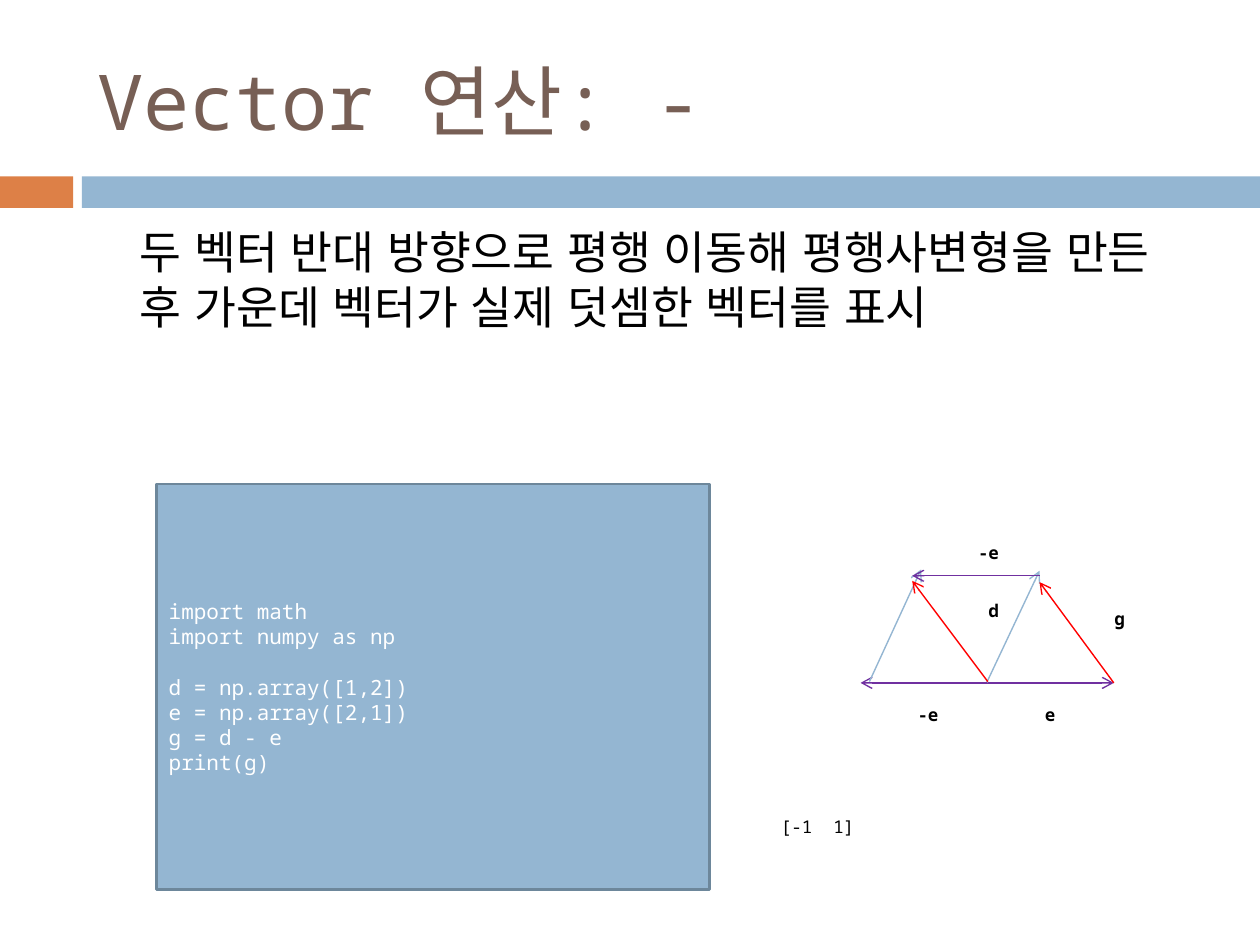
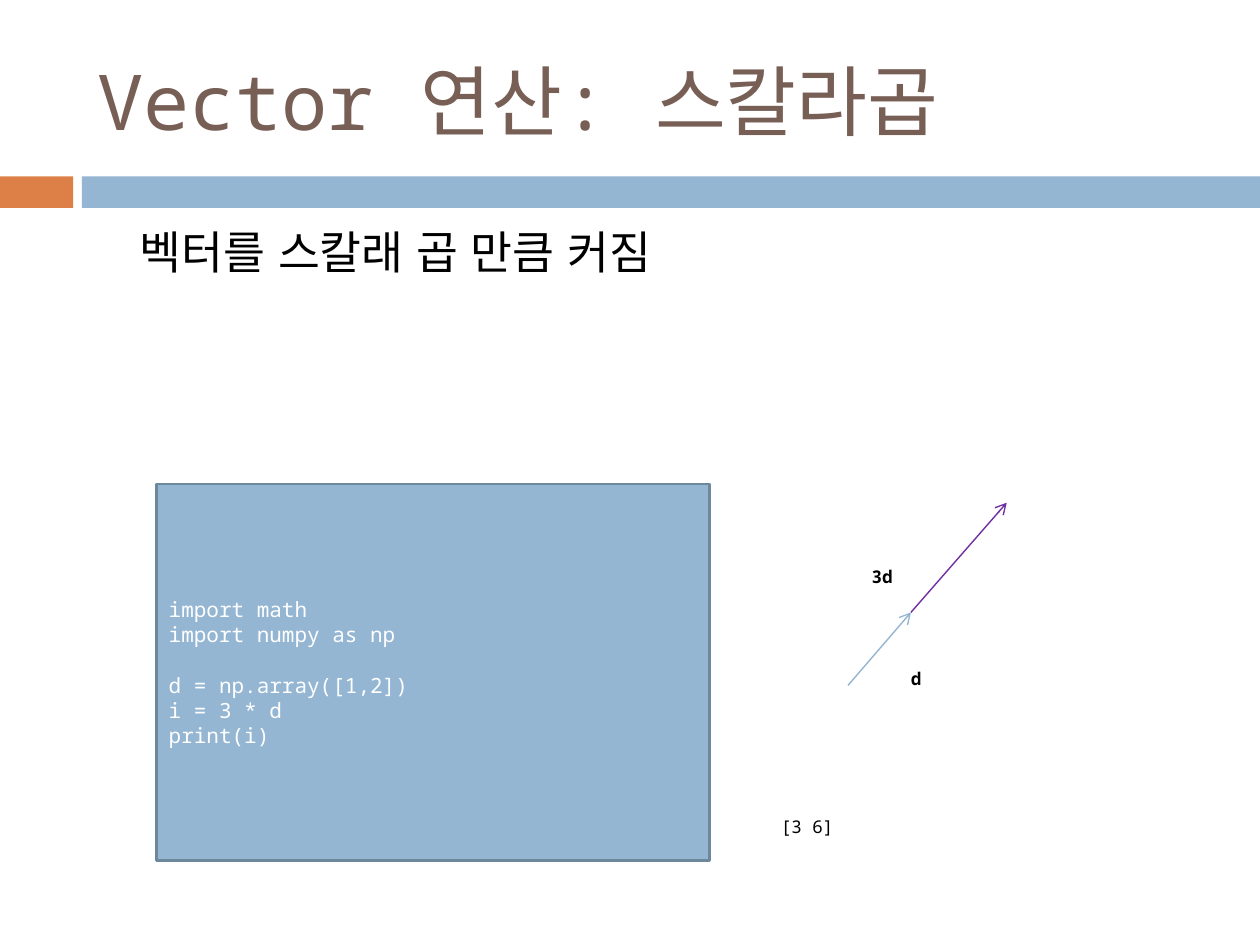
import pptx
import pptx.util
import pptx.dml.color
import pptx.enum.lang
import pptx.enum.shapes
import pptx.enum.text
import pptx.oxml
import pptx.oxml.ns
from lxml import etree

RGB = pptx.dml.color.RGBColor
BLUE = RGB(0x94, 0xB6, 0xD2)
EDGE = RGB(0x6D, 0x87, 0x9B)
ORANGE = RGB(0xDD, 0x80, 0x47)
BROWN = RGB(0x77, 0x5F, 0x55)
PURPLE = RGB(0x70, 0x30, 0xA0)
RED = RGB(0xFF, 0, 0)
BLACK = RGB(0, 0, 0)
WHITE = RGB(0xFF, 0xFF, 0xFF)

FONT = "Noto Sans Mono"
SCALE = 9144
ALIGN = pptx.enum.text.PP_ALIGN
ANCHOR = pptx.enum.text.MSO_ANCHOR
FIT = pptx.enum.text.MSO_AUTO_SIZE
LINE_GAP = 14.4


def px(*nums):
    return [pptx.util.Emu(num * SCALE) for num in nums]


def child(node, tag, **attrs):
    return etree.SubElement(node, pptx.oxml.ns.qn(tag), attrs)


def write(frame, text, size=10, color=BLACK, bold=False, align=ALIGN.LEFT,
          anchor=ANCHOR.TOP, before=0, fit=FIT.NONE, asian=FONT):
    frame.word_wrap = True
    frame.auto_size = fit
    frame.vertical_anchor = anchor
    para = frame.paragraphs[0]
    gap = before
    for line in text.split("\n"):
        if not line:
            gap = LINE_GAP
            continue
        if para.runs:
            para = frame.add_paragraph()
        para.alignment = align
        para.space_before = pptx.util.Pt(gap)
        gap = before
        run = para.add_run()
        run.text = line
        font = run.font
        font.name = FONT
        font.size = pptx.util.Pt(size)
        font.bold = bold
        font.color.rgb = color
        font.language_id = pptx.enum.lang.MSO_LANGUAGE_ID.KOREAN
        if asian:
            child(font._element, "a:ea", typeface=asian)


class Deck:
    def __init__(self):
        self.show = pptx.Presentation()
        self.show.slide_width, self.show.slide_height = px(1000, 750)
        self.slide = None

    def start(self, title, body):
        self.slide = self.show.slides.add_slide(self.show.slide_layouts[5])
        self.box(0, 140, 58, 25, ORANGE)
        self.box(65, 140, 935, 25, BLUE)
        head = self.slide.shapes.title
        head.left, head.top, head.width, head.height = px(67, 25, 892, 108)
        write(head.text_frame, title, size=44, color=BROWN, anchor=ANCHOR.MIDDLE)
        self.text(51, 173, 900, 147, body, inset=60, size=26, before=5.5,
                  asian=None)

    def box(self, x, y, w, h, fill, edge=None):
        kind = pptx.enum.shapes.MSO_SHAPE.RECTANGLE
        shape = self.slide.shapes.add_shape(kind, *px(x, y, w, h))
        shape.shadow.inherit = False
        shape.fill.solid()
        shape.fill.fore_color.rgb = fill
        if edge is None:
            shape.line.fill.background()
        else:
            shape.line.color.rgb = edge
            shape.line.width = pptx.util.Pt(1.5)
        return shape

    def text(self, x, y, w, h, words, inset=10, **style):
        frame = self.slide.shapes.add_textbox(*px(x, y, w, h)).text_frame
        frame.margin_left = px(inset)[0]
        write(frame, words, **style)

    def label(self, x, y, words, w=55, align=ALIGN.CENTER, bold=True):
        self.text(x, y, w, 27, words, bold=bold, align=align,
                  fit=FIT.SHAPE_TO_FIT_TEXT)

    def code(self, high, words):
        shape = self.box(124, 384, 439, high, BLUE, EDGE)
        write(shape.text_frame, words, size=12, color=WHITE, anchor=ANCHOR.MIDDLE)

    def result(self, words):
        self.label(610, 643, words, w=307, align=ALIGN.LEFT, bold=False)

    def arrow(self, color, *ends):
        kind = pptx.enum.shapes.MSO_CONNECTOR.STRAIGHT
        line = self.slide.shapes.add_connector(kind, *px(*ends))
        line.line.color.rgb = color
        line.line.width = pptx.util.Pt(0.79)
        child(line.line._get_or_add_ln(), "a:tailEnd", type="arrow")
        child(line._element.spPr, "a:effectLst")


def minus(deck):
    deck.start("Vector 연산: -",
               "두 벡터 반대 방향으로 평행 이동해 평행사변형을 만든 후 "
               "가운데 벡터가 실제 덧셈한 벡터를 표시")
    deck.code(322, """import math
import numpy as np

d = np.array([1,2])
e = np.array([2,1])
g = d - e
print(g)""")
    deck.result("[-1  1]")
    for color, *ends in (
        (PURPLE, 783, 542, 884, 542),
        (BLUE, 783, 542, 825, 453),
        (RED, 884, 542, 825, 462),
        (PURPLE, 783, 542, 683, 542),
        (BLUE, 690, 541, 731, 452),
        (RED, 784, 541, 724, 461),
        (PURPLE, 825, 457, 724, 457),
    ):
        deck.arrow(color, *ends)
    for x, y, name in ((806, 554, "e"), (761, 471, "d"), (861, 478, "g"),
                       (709, 554, "-e"), (757, 425, "-e")):
        deck.label(x, y, name)


def times(deck):
    deck.start("Vector 연산: 스칼라곱", "벡터를 스칼래 곱 만큼 커짐")
    deck.code(299, """import math
import numpy as np

d = np.array([1,2])
i = 3 * d
print(i)""")
    deck.result("[3 6]")
    deck.arrow(BLUE, 673, 544, 723, 486)
    deck.arrow(PURPLE, 723, 486, 799, 399)
    deck.label(713, 525, "d", w=31, align=ALIGN.LEFT)
    deck.label(682, 444, "3d", w=46, align=ALIGN.LEFT)


def main():
    deck = Deck()
    minus(deck)
    times(deck)
    deck.show.save("out.pptx")


if __name__ == "__main__":
    main()
